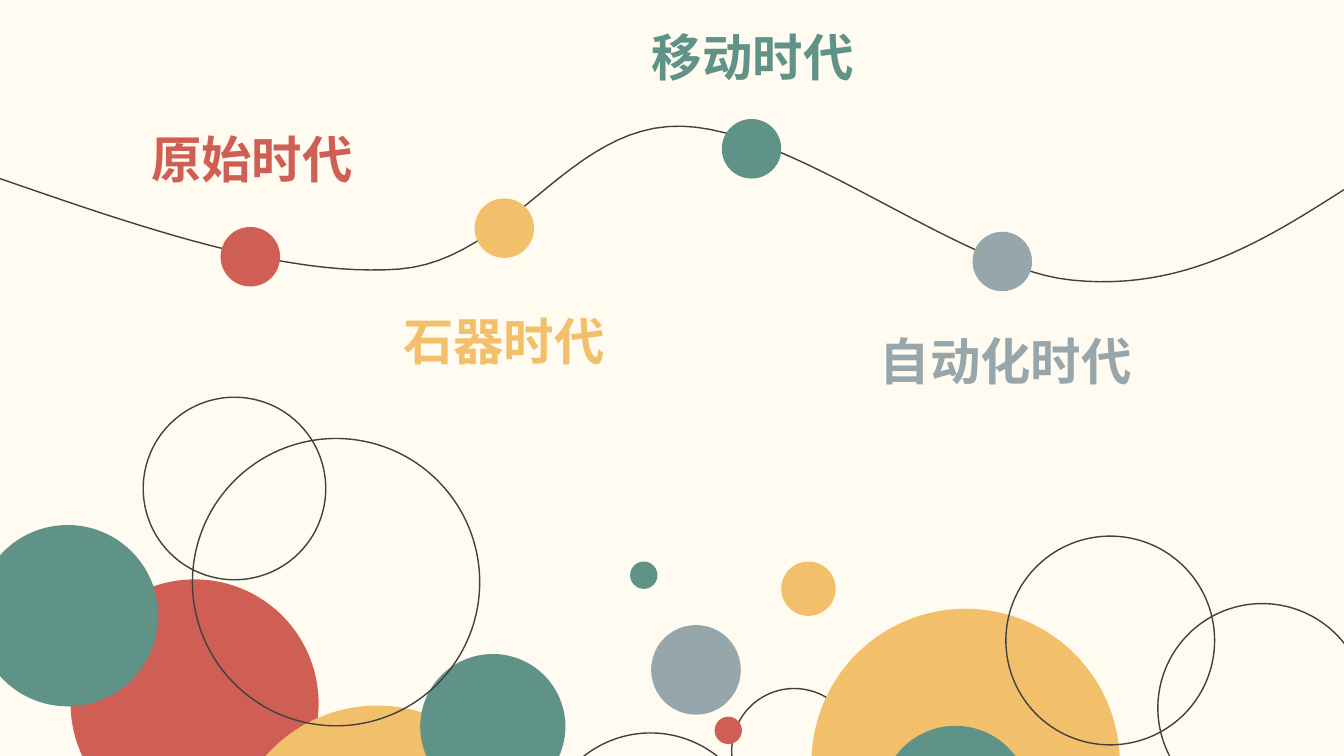
from lxml import etree
from pptx import Presentation
from pptx.dml.color import RGBColor
from pptx.enum.shapes import MSO_SHAPE
from pptx.enum.text import MSO_AUTO_SIZE
from pptx.oxml.ns import qn
from pptx.util import Cm, Pt

COLORS = {"cream": "FFFBF0", "red": "CF5F55", "yellow": "F2C06B",
          "green": "5F9387", "gray": "97A6AB", "line": "404040"}
FONT = "Noto Sans CJK SC"
DOT = 1.5       # timeline dot diameter, cm
STEPS = 24      # points per curve segment


def rgb(name):
    return RGBColor.from_string(COLORS[name])


def style(s, fill=None):
    """Solid without outline, or a thin outline when no fill is given."""
    s.shadow.inherit = False
    if fill:
        s.fill.solid()
        s.fill.fore_color.rgb = rgb(fill)
        s.line.fill.background()
    else:
        s.fill.background()
        s.line.color.rgb = rgb("line")
        s.line.width = Pt(1)


prs = Presentation()
prs.slide_width, prs.slide_height = Cm(33.87), Cm(19.05)
slide = prs.slides.add_slide(prs.slide_layouts[6])
slide.background.fill.solid()
slide.background.fill.fore_color.rgb = rgb("cream")

# Decorative circles, back to front: left, top, diameter, fill
circles = [
    (1.78, 14.6, 6.25, "red"),
    (5.77, 17.78, 7.47, "yellow"),
    (10.59, 16.48, 3.66, "green"),
    (13.69, 18.47, 5.41, None),
    (4.85, 11.05, 7.24, None),
    (-0.58, 13.23, 4.57, "green"),
    (18.44, 17.35, 3.15, None),
    (20.45, 15.34, 7.77, "yellow"),
    (22.2, 18.29, 3.76, "green"),
    (25.35, 13.51, 5.26, None),
    (29.18, 15.21, 5.26, None),
    (16.41, 15.75, 2.26, "gray"),
    (18.01, 18.06, 0.69, "red"),
    (15.88, 14.15, 0.69, "green"),
    (19.69, 14.15, 1.37, "yellow"),
    (3.61, 10.01, 4.6, None),
]
for left, top, size, fill in circles:
    s = slide.shapes.add_shape(MSO_SHAPE.OVAL, Cm(left), Cm(top), Cm(size), Cm(size))
    style(s, fill)

# Timeline wave: cubic Bezier segments, each starting where the last ends
start = (0, 4.5)
segments = [
    ((3.58, 5.74), (7.19, 6.99), (10.06, 6.78)),
    ((12.9, 6.55), (14.33, 3.12), (17.17, 3.18)),
    ((19.99, 3.23), (24.26, 6.81), (27.03, 7.06)),
    ((29.82, 7.34), (31.85, 6.07), (33.87, 4.78)),
]
points = []
p0 = start
for p1, p2, p3 in segments:
    for i in range(1, STEPS + 1):
        t = i / STEPS
        u = 1 - t
        points.append(tuple(
            Cm(u**3 * a + 3 * u * u * t * b + 3 * u * t * t * c + t**3 * d)
            for a, b, c, d in zip(p0, p1, p2, p3)))
    p0 = p3
wave = slide.shapes.build_freeform(Cm(start[0]), Cm(start[1]))
wave.add_line_segments(points, close=False)
style(wave.convert_to_shape())

# Eras: label, colour, dot left and top, label left, top and width
eras = [
    ("原始时代", "red", (5.56, 5.72), (3.56, 3.1, 6.45)),
    ("石器时代", "yellow", (11.96, 5.0), (9.91, 7.7, 5.97)),
    ("移动时代", "green", (18.19, 3.0), (16.18, 0.53, 5.89)),
    ("自动化时代", "gray", (24.51, 5.84), (21.92, 8.2, 7.49)),
]
for text, color, (x, y), (left, top, width) in eras:
    dot = slide.shapes.add_shape(MSO_SHAPE.OVAL, Cm(x), Cm(y), Cm(DOT), Cm(DOT))
    style(dot, color)

    label = slide.shapes.add_textbox(Cm(left), Cm(top), Cm(width), Cm(1.8))
    tf = label.text_frame
    tf.word_wrap = True
    tf.auto_size = MSO_AUTO_SIZE.SHAPE_TO_FIT_TEXT
    p = tf.paragraphs[0]
    r = p.add_run()
    r.text = text
    r.font.name = FONT
    r.font.size = Pt(36)
    r.font.bold = True
    r.font.color.rgb = rgb(color)
    # East Asian typeface
    etree.SubElement(r.font._element, qn("a:ea")).set("typeface", FONT)

prs.save("out.pptx")
